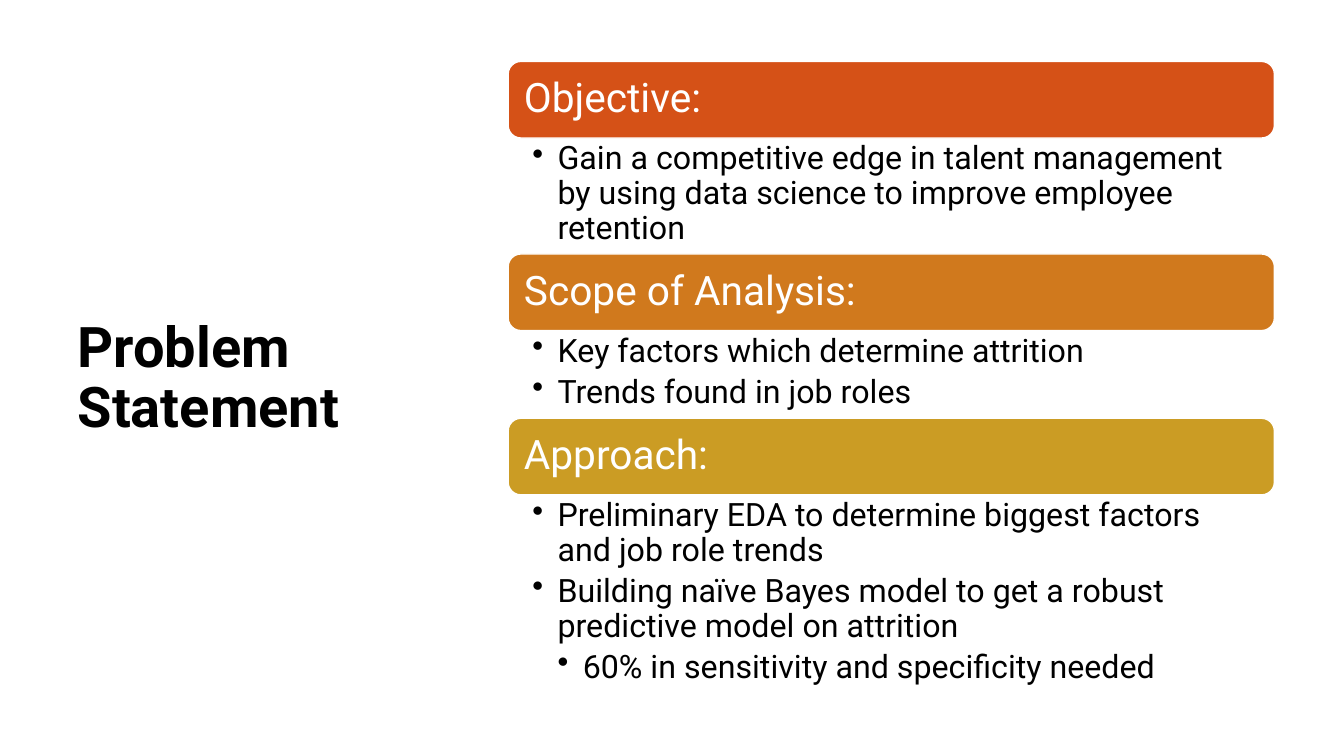
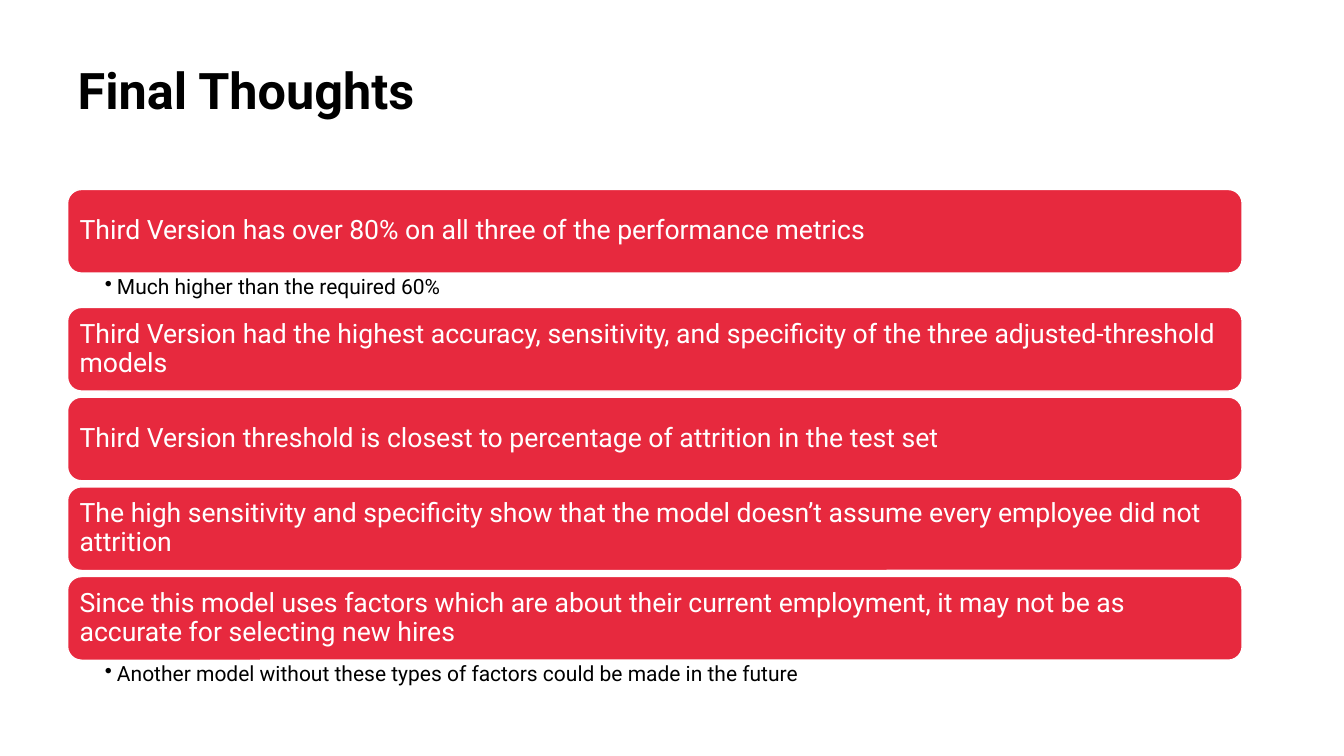
"""Build two slides of titled band lists."""
from dataclasses import dataclass

from lxml.etree import SubElement
from pptx import Presentation
from pptx.dml.color import RGBColor as RGB
from pptx.enum.shapes import MSO_SHAPE as Shape
from pptx.enum.text import MSO_ANCHOR as Anchor, MSO_AUTO_SIZE as Fit, PP_ALIGN as Align
from pptx.oxml.ns import qn
from pptx.util import Inches, Pt


@dataclass(frozen=True)
class Theme:
    font: str = "Roboto"
    black: str = "000000"
    white: str = "FFFFFF"
    orange: str = "D55117"
    amber: str = "D0791D"
    gold: str = "CB9C24"
    red: str = "E7293E"
    side: float = 40
    top: float = 36
    head_big: float = 29
    head_small: float = 19
    body_big: float = 23
    body_small: float = 15


@dataclass(frozen=True)
class Box:
    left: float
    top: float
    width: float
    height: float


@dataclass(frozen=True)
class Point:
    text: str
    level: int = 1


@dataclass(frozen=True)
class Band:
    head: str
    color: str
    depth: float = 0
    points: tuple[Point, ...] = ()


@dataclass(frozen=True)
class Style:
    left: float
    top: float
    width: float
    height: float
    gap: float
    head: float
    body: float
    pad: float
    inset: tuple[float, float, float, float]
    indent: float


@dataclass(frozen=True)
class Page:
    title: str
    size: float
    box: Box
    anchor: Anchor
    style: Style
    bands: tuple[Band, ...]


THEME = Theme()

WIDE = Style(5.04, 0.61, 7.6, 0.76, 0, THEME.head_big, THEME.body_big,
             0.12, (0.24, 0.04, 0.23, 0.04), 0.25)
SLIM = Style(0.67, 1.88, 11.65, 0.83, 0.06, THEME.head_small, THEME.body_small,
             0.08, (0.37, 0.03, 0.15, 0.03), 0.12)

PAGES = (
    Page("Problem Statement", THEME.side, Box(0.67, 0.6, 3.82, 6.33), Anchor.MIDDLE, WIDE, (
        Band("Objective:", THEME.orange, 1.15, (
            Point("Gain a competitive edge in talent management by using data science "
                  "to improve employee retention"),
        )),
        Band("Scope of Analysis:", THEME.amber, 0.87, (
            Point("Key factors which determine attrition"),
            Point("Trends found in job roles"),
        )),
        Band("Approach:", THEME.gold, 2, (
            Point("Preliminary EDA to determine biggest factors and job role trends"),
            Point("Building naïve Bayes model to get a robust predictive model on attrition"),
            Point("60% in sensitivity and specificity needed", 2),
        )),
    )),
    Page("Final Thoughts", THEME.top, Box(0.67, 0.6, 11.65, 1.24), Anchor.TOP, SLIM, (
        Band("Third Version has over 80% on all three of the performance metrics",
             THEME.red, 0.34, (Point("Much higher than the required 60%"),)),
        Band("Third Version had the highest accuracy, sensitivity, and specificity of the "
             "three adjusted-threshold models", THEME.red),
        Band("Third Version threshold is closest to percentage of attrition in the test set",
             THEME.red),
        Band("The high sensitivity and specificity show that the model doesn’t assume every "
             "employee did not attrition", THEME.red),
        Band("Since this model uses factors which are about their current employment, it may "
             "not be as accurate for selecting new hires", THEME.red, 0.34,
             (Point("Another model without these types of factors could be made in the future"),)),
    )),
)


def place(box: Box) -> tuple[Inches, ...]:
    return tuple(Inches(n) for n in (box.left, box.top, box.width, box.height))


def set_frame(frame, anchor: Anchor, inset: tuple[float, ...]) -> None:
    frame.word_wrap = True
    frame.auto_size = Fit.NONE
    frame.vertical_anchor = anchor
    (frame.margin_left, frame.margin_top,
     frame.margin_right, frame.margin_bottom) = (Inches(n) for n in inset)


def write(para, text: str, size: float, color: str, bold: bool = False) -> None:
    para.alignment = Align.LEFT
    para.line_spacing = 0.9
    run = para.add_run()
    run.text = text
    font = run.font
    font.name, font.size, font.bold = THEME.font, Pt(size), bold
    font.color.rgb = RGB.from_string(color)


def add_dot(para, level: int, indent: float) -> None:
    para.level = level
    props = para._p.get_or_add_pPr()
    props.set("marL", str(Inches(indent * level)))
    props.set("indent", str(-Inches(indent)))
    SubElement(props, qn("a:buChar")).set("char", "•")


def add_title(slide, page: Page) -> None:
    title = slide.shapes.title
    title.left, title.top, title.width, title.height = place(page.box)
    set_frame(title.text_frame, page.anchor, (0.1, 0.05, 0.1, 0.05))
    write(title.text_frame.paragraphs[0], page.title, page.size, THEME.black, True)


def add_head(slide, band: Band, style: Style, box: Box) -> None:
    shape = slide.shapes.add_shape(Shape.ROUNDED_RECTANGLE, *place(box))
    shape.shadow.inherit = False
    shape.fill.solid()
    shape.fill.fore_color.rgb = RGB.from_string(band.color)
    shape.line.color.rgb = RGB.from_string(THEME.white)
    shape.line.width = Pt(1)
    set_frame(shape.text_frame, Anchor.MIDDLE, (style.pad,) * 4)
    write(shape.text_frame.paragraphs[0], band.head, style.head, THEME.white)


def add_body(slide, band: Band, style: Style, box: Box) -> None:
    frame = slide.shapes.add_textbox(*place(box)).text_frame
    set_frame(frame, Anchor.TOP, style.inset)
    for i, point in enumerate(band.points):
        para = frame.add_paragraph() if i else frame.paragraphs[0]
        write(para, point.text, style.body, THEME.black)
        para.space_after = Pt(style.body * 0.2)
        add_dot(para, point.level, style.indent)


def add_bands(slide, page: Page) -> None:
    style = page.style
    top = style.top
    for band in page.bands:
        add_head(slide, band, style, Box(style.left, top, style.width, style.height))
        top += style.height
        if band.points:
            add_body(slide, band, style, Box(style.left, top, style.width, band.depth))
        top += band.depth or style.gap


def main() -> None:
    deck = Presentation()
    deck.slide_width, deck.slide_height = Inches(13.33), Inches(7.5)
    for page in PAGES:
        slide = deck.slides.add_slide(deck.slide_layouts[5])
        add_title(slide, page)
        add_bands(slide, page)
    deck.save("out.pptx")


if __name__ == "__main__":
    main()
